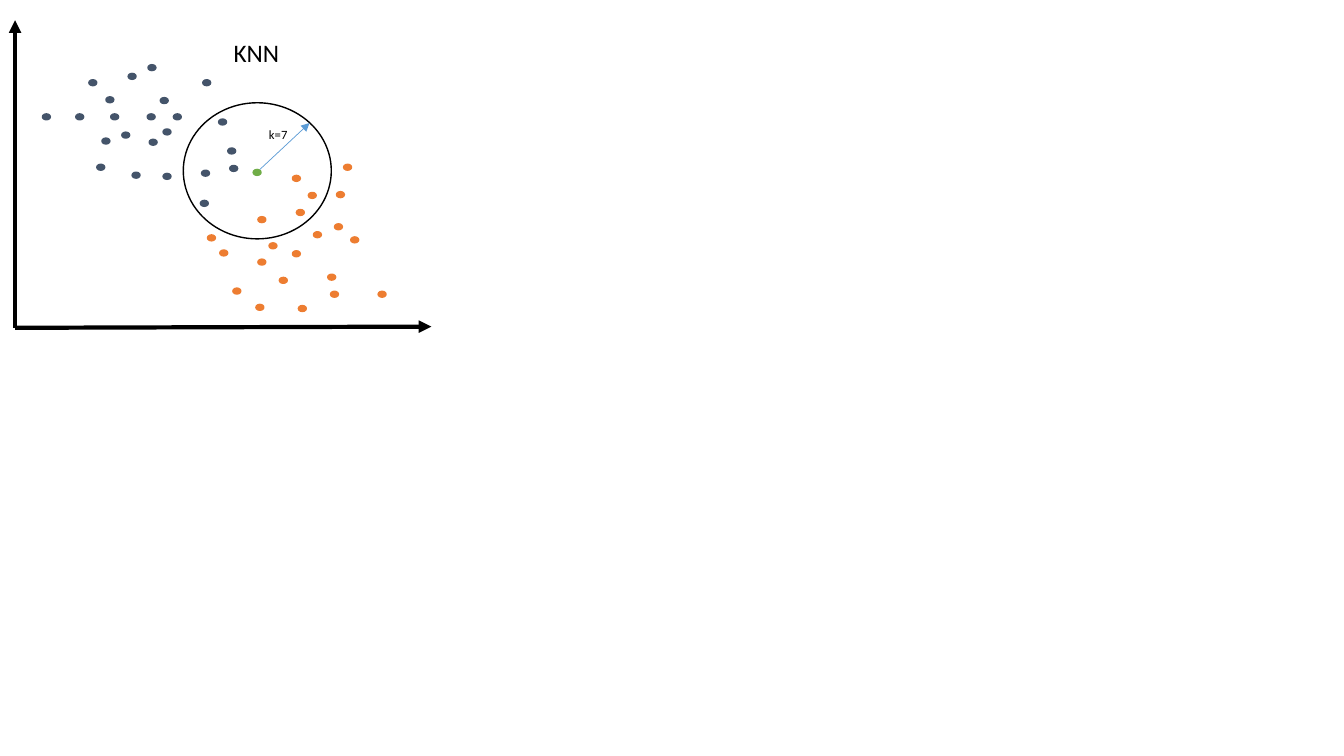
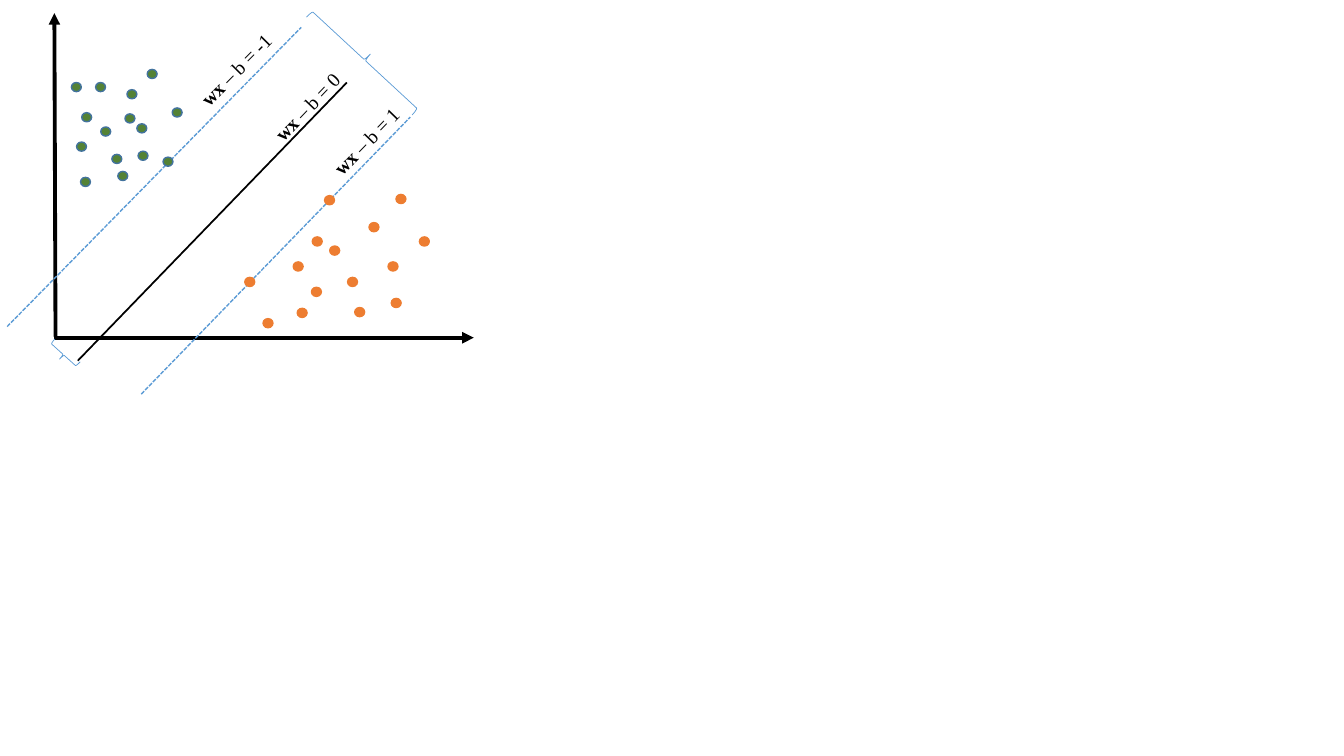
from lxml.etree import SubElement
from pptx import Presentation
from pptx.dml.color import RGBColor
from pptx.enum.dml import MSO_LINE
from pptx.enum.shapes import MSO_CONNECTOR, MSO_SHAPE
from pptx.enum.text import MSO_AUTO_SIZE
from pptx.oxml.ns import qn
from pptx.util import Cm, Pt

BLACK = RGBColor(0x00, 0x00, 0x00)
SLATE = RGBColor(0x44, 0x54, 0x6A)
ORANGE = RGBColor(0xED, 0x7D, 0x31)
LIGHT_GREEN = RGBColor(0x70, 0xAD, 0x47)
DARK_GREEN = RGBColor(0x54, 0x82, 0x35)
BLUE = RGBColor(0x5B, 0x9B, 0xD5)
DARK_BLUE = RGBColor(0x43, 0x73, 0x9E)

# Left and top of each dot, in centimetres
KNN_SLATE = [
    (2.24, 2.01), (2.67, 2.44), (3.73, 1.63), (4.04, 2.46), (5.74, 3.73), (2.44, 4.14),
    (3.33, 4.34), (5.11, 2.01), (4.11, 3.25), (3.23, 1.85), (2.57, 3.48), (5.08, 4.29),
    (5.51, 3.00), (5.79, 4.17), (5.05, 5.05), (2.79, 2.87), (4.37, 2.87), (3.71, 2.87),
    (1.91, 2.87), (4.11, 4.37), (3.76, 3.51), (3.07, 3.33), (1.07, 2.87),
]
KNN_ORANGE = [
    (6.50, 5.46), (7.37, 4.42), (5.54, 6.30), (6.50, 6.53), (6.78, 6.12), (7.37, 6.32),
    (7.04, 6.99), (7.90, 5.84), (8.26, 6.91), (6.45, 7.67), (8.84, 5.97), (8.48, 4.83),
    (5.23, 5.92), (8.43, 5.64), (7.47, 5.28), (5.87, 7.26), (8.66, 4.14), (7.77, 4.85),
    (8.33, 7.34), (9.53, 7.34), (7.52, 7.70),
]
KNN_QUERY = [(6.38, 4.27)]
MARGIN_GREEN = [
    (3.20, 2.26), (2.54, 3.20), (2.03, 4.47), (3.45, 3.12), (2.82, 3.89), (4.34, 2.72),
    (2.41, 2.08), (4.11, 3.96), (2.97, 4.32), (2.06, 2.84), (3.71, 1.75), (1.80, 2.08),
    (1.93, 3.58), (3.15, 2.87), (3.48, 3.81),
]
MARGIN_ORANGE = [
    (8.31, 6.20), (7.39, 6.60), (6.17, 6.99), (7.85, 7.24), (7.87, 5.97), (8.18, 4.93),
    (7.49, 7.77), (8.76, 6.99), (9.30, 5.61), (6.63, 8.03), (9.78, 6.60), (8.94, 7.75),
    (9.86, 7.52), (9.98, 4.90), (10.57, 5.97),
]
KNN_DOT = (0.2, 0.15)
MARGIN_DOT = (0.25, 0.23)


def add_line(page, start, end, color=BLACK, width=1, dash=None, arrow=False):
    line = page.shapes.add_connector(
        MSO_CONNECTOR.STRAIGHT, *(Cm(value) for value in (*start, *end)))
    line.line.color.rgb = color
    line.line.width = Pt(width)
    if dash:
        line.line.dash_style = dash
    properties = line.element.spPr
    if arrow:
        SubElement(properties.find(qn("a:ln")), qn("a:tailEnd"), type="triangle")
    SubElement(properties, qn("a:effectLst"))


def add_outline(page, kind, place, color=BLACK, width=1, fill=None, rotation=0):
    """Add a preset shape, unfilled unless a fill is given; place is left, top, width, height."""
    shape = page.shapes.add_shape(kind, *(Cm(value) for value in place))
    shape.shadow.inherit = False
    shape.rotation = rotation
    shape.line.color.rgb = color
    shape.line.width = Pt(width)
    if fill is None:
        shape.fill.background()
    else:
        shape.fill.solid()
        shape.fill.fore_color.rgb = fill


def add_dots(page, corners, size, fill, color=None):
    for corner in corners:
        add_outline(page, MSO_SHAPE.OVAL, (*corner, *size), color or fill, fill=fill)


def add_text(page, place, *texts, size, font="Calibri", bold_first=False, rotation=0):
    """Add an unwrapped one-line text box with one run for each text."""
    box = page.shapes.add_textbox(*(Cm(value) for value in place))
    box.rotation = rotation
    box.text_frame.word_wrap = False
    box.text_frame.auto_size = MSO_AUTO_SIZE.SHAPE_TO_FIT_TEXT
    para = box.text_frame.paragraphs[0]
    for index, text in enumerate(texts):
        span = para.add_run()
        span.text = text
        span.font.name = font
        span.font.size = Pt(size)
        span.font.bold = bold_first and index == 0
        span.font.color.rgb = BLACK


def add_axes(page, horizontal, vertical, width):
    for start, end in (horizontal, vertical):
        add_line(page, start, end, width=width, arrow=True)


def add_equation(page, place, value, rotation):
    add_text(page, place, "wx", f" – b = {value}", size=14, font="Times New Roman",
             bold_first=True, rotation=rotation)


def build_neighbours(page):
    add_axes(page, ((0.38, 8.26), (10.87, 8.23)), ((0.38, 8.26), (0.38, 0.51)), 3)
    add_outline(page, MSO_SHAPE.OVAL, (4.62, 2.59, 3.73, 3.43))
    add_dots(page, KNN_SLATE, KNN_DOT, SLATE)
    add_dots(page, KNN_QUERY, KNN_DOT, LIGHT_GREEN)
    add_dots(page, KNN_ORANGE, KNN_DOT, ORANGE)
    add_line(page, (6.55, 4.27), (7.8, 3.1), BLUE, 0.5, arrow=True)
    add_text(page, (5.64, 0.81, 1.68, 1.02), "KNN", size=18)
    add_text(page, (6.53, 3.07, 0.99, 0.64), "k=7", size=9)


def build_margin(page):
    add_axes(page, ((1.35, 8.51), (11.94, 8.51)), ((1.4, 8.48), (1.37, 0.33)), 2.75)
    add_line(page, (1.96, 9.09), (8.74, 2.08), width=1.25)
    for start, end in (((0.18, 8.23), (7.59, 0.69)), ((3.56, 9.93), (10.34, 2.95))):
        add_line(page, start, end, BLUE, dash=MSO_LINE.SQUARE_DOT)
    add_dots(page, MARGIN_GREEN, MARGIN_DOT, DARK_GREEN, DARK_BLUE)
    add_dots(page, MARGIN_ORANGE, MARGIN_DOT, ORANGE)
    add_equation(page, (6.43, 2.26, 2.64, 0.86), "0", 313.6)
    add_equation(page, (7.92, 3.12, 2.64, 0.86), "1", 314.1)
    add_equation(page, (4.55, 1.32, 2.82, 0.86), "-1", 314.7)
    for place, rotation in (((8.99, -0.3, 0.41, 3.63), 312.8),
                            ((1.45, 8.51, 0.3, 0.86), 132.1)):
        add_outline(page, MSO_SHAPE.RIGHT_BRACE, place, BLUE, 0.5, rotation=rotation)


def main():
    deck = Presentation()
    deck.slide_width = Cm(33.87)
    deck.slide_height = Cm(19.05)
    for build in (build_neighbours, build_margin):
        build(deck.slides.add_slide(deck.slide_layouts[6]))
    deck.save("out.pptx")


if __name__ == "__main__":
    main()
